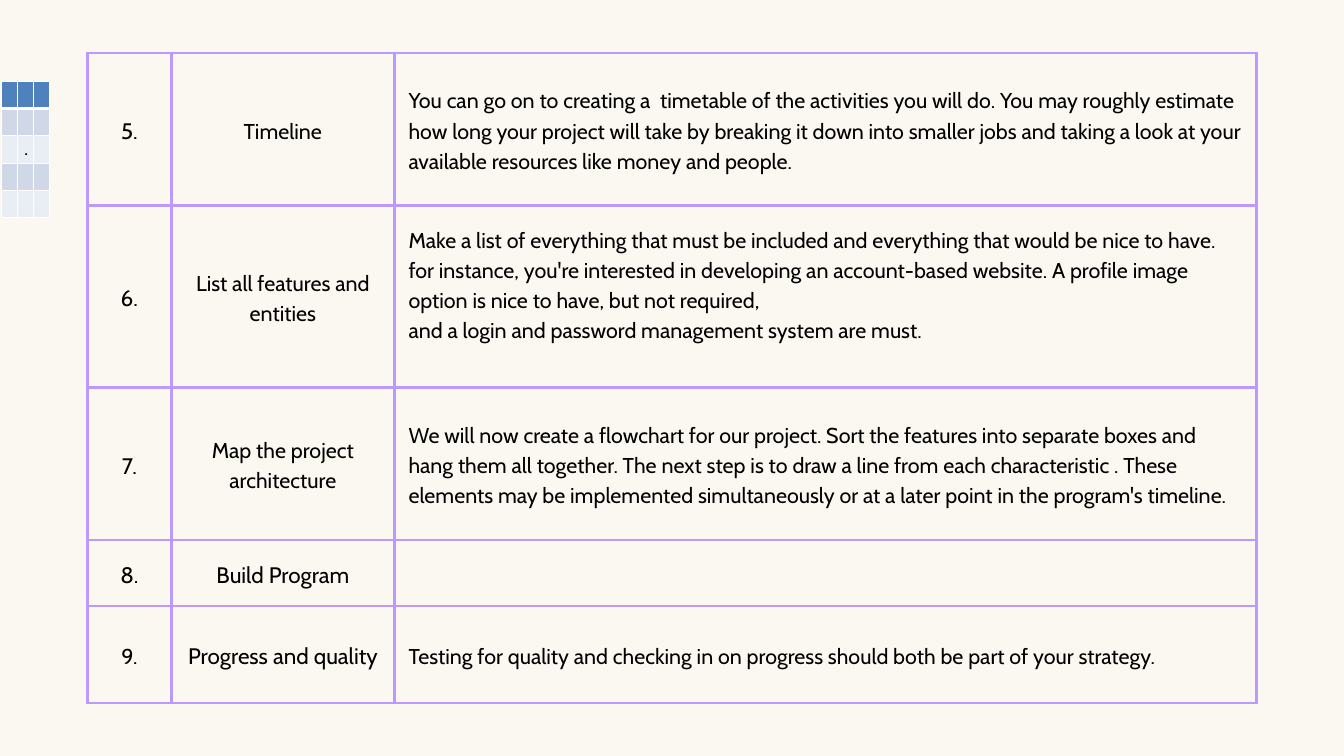
from dataclasses import dataclass

from lxml import etree
from pptx import Presentation
from pptx.dml.color import RGBColor
from pptx.enum.text import MSO_ANCHOR, PP_ALIGN
from pptx.oxml.ns import qn
from pptx.util import Inches, Pt

CENTER, LEFT = PP_ALIGN.CENTER, PP_ALIGN.LEFT
MIDDLE, TOP = MSO_ANCHOR.MIDDLE, MSO_ANCHOR.TOP

CREAM = RGBColor(0xFB, 0xF7, 0xF1)
LILAC = RGBColor(0xBB, 0x99, 0xFF)
BLACK = RGBColor(0x00, 0x00, 0x00)
WHITE = RGBColor(0xFF, 0xFF, 0xFF)
BLUE = RGBColor(0x4F, 0x81, 0xBD)
BAND_DARK = RGBColor(0xD0, 0xD8, 0xE8)
BAND_LIGHT = RGBColor(0xE9, 0xED, 0xF4)

LINE_RATIO = 1.4
CELL_INSET = 0.21
SIDES = ("L", "R", "T", "B")


@dataclass(frozen=True)
class Step:
    number: str
    title: str
    details: tuple[str, ...]
    height: float
    number_size: int = 24
    title_size: int = 23
    bottom_inset: float = CELL_INSET


STEPS = (
    Step("5.", "Timeline", (
        "You can go on to creating a  timetable of the activities you will do. "
        "You may roughly estimate how long your project will take by breaking it "
        "down into smaller jobs and taking a look at your available resources "
        "like money and people.",
    ), 2.27),
    Step("6.", "List all features and entities", (
        "Make a list of everything that must be included and everything that "
        "would be nice to have. for instance, you're interested in developing an "
        "account-based website. A profile image option is nice to have, but not "
        "required,",
        "and a login and password management system are must.",
    ), 2.71, bottom_inset=0.6),
    Step("7.", "Map the project architecture", (
        "We will now create a flowchart for our project. Sort the features into "
        "separate boxes and hang them all together. The next step is to draw a "
        "line from each characteristic . These elements may be implemented "
        "simultaneously or at a later point in the program's timeline.",
    ), 2.27),
    Step("8.", "Build Program", (), 0.98, title_size=24),
    Step("9.", "Progress and quality", (
        "Testing for quality and checking in on progress should both be part of "
        "your strategy.",
    ), 1.44, number_size=23, title_size=24),
)
STEP_COLUMNS = (1.25, 3.32, 12.83)

SMALL_COLUMNS = (0.23,) * 3
SMALL_FILLS = (BLUE, BAND_DARK, BAND_LIGHT, BAND_DARK, BAND_LIGHT)
SMALL_ROW_HEIGHT = 0.4


def add_grid(page, left: float, top: float, columns: tuple[float, ...],
             heights: tuple[float, ...]):
    frame = page.shapes.add_table(
        len(heights), len(columns), Inches(left), Inches(top),
        Inches(sum(columns)), Inches(sum(heights)))
    table = frame.table
    table.first_row = False
    table.horz_banding = False
    for column, width in zip(table.columns, columns):
        column.width = Inches(width)
    for row, height in zip(table.rows, heights):
        row.height = Inches(height)
    return table


def set_borders(cell, color: RGBColor, widths: dict[str, float]) -> None:
    properties = cell._tc.get_or_add_tcPr()
    for side in SIDES:
        line = etree.SubElement(
            properties, qn(f"a:ln{side}"), w=str(Pt(widths[side])))
        fill = etree.SubElement(line, qn("a:solidFill"))
        etree.SubElement(fill, qn("a:srgbClr"), val=str(color))


def write_cell(cell, *texts: str, size: float, font: str = "Cabin",
               align: PP_ALIGN = CENTER, anchor: MSO_ANCHOR = MIDDLE,
               line_height: float | None = None) -> None:
    cell.vertical_anchor = anchor
    for index, text in enumerate(texts):
        body = cell.text_frame
        para = body.add_paragraph() if index else body.paragraphs[0]
        para.alignment = align
        if line_height:
            para.line_spacing = Pt(line_height)
        span = para.add_run()
        span.text = text
        span.font.name = font
        span.font.size = Pt(size)
        span.font.bold = False
        span.font.color.rgb = BLACK


def add_steps_table(page) -> None:
    table = add_grid(page, 1.3, 0.79, STEP_COLUMNS,
                     tuple(step.height for step in STEPS))
    for row, step in zip(table.rows, STEPS):
        contents = (
            ((step.number,), step.number_size, CENTER),
            ((step.title,), step.title_size, CENTER),
            (step.details, 23, LEFT),
        )
        for cell, (texts, size, align) in zip(row.cells, contents):
            set_borders(cell, LILAC, dict.fromkeys(SIDES, 3))
            cell.fill.background()
            cell.margin_left = cell.margin_right = Inches(CELL_INSET)
            cell.margin_top = cell.margin_bottom = Inches(CELL_INSET)
            write_cell(cell, *texts, size=size, align=align,
                       line_height=round(size * LINE_RATIO, 1))
        row.cells[2].margin_bottom = Inches(step.bottom_inset)


def add_small_table(page) -> None:
    table = add_grid(page, 0.02, 1.21, SMALL_COLUMNS,
                     (SMALL_ROW_HEIGHT,) * len(SMALL_FILLS))
    for index, (row, color) in enumerate(zip(table.rows, SMALL_FILLS)):
        widths = dict.fromkeys(SIDES, 1)
        if index == 0:
            widths["B"] = 3
        elif index == 1:
            widths["T"] = 3
        for cell in row.cells:
            set_borders(cell, WHITE, widths)
            cell.fill.solid()
            cell.fill.fore_color.rgb = color
    write_cell(table.cell(2, 1), ".", size=18, font="Calibri",
               align=LEFT, anchor=TOP)


def main() -> None:
    deck = Presentation()
    deck.slide_width = Inches(20)
    deck.slide_height = Inches(11.25)
    page = deck.slides.add_slide(deck.slide_layouts[6])
    page.background.fill.solid()
    page.background.fill.fore_color.rgb = CREAM
    add_steps_table(page)
    add_small_table(page)
    deck.save("out.pptx")


if __name__ == "__main__":
    main()
